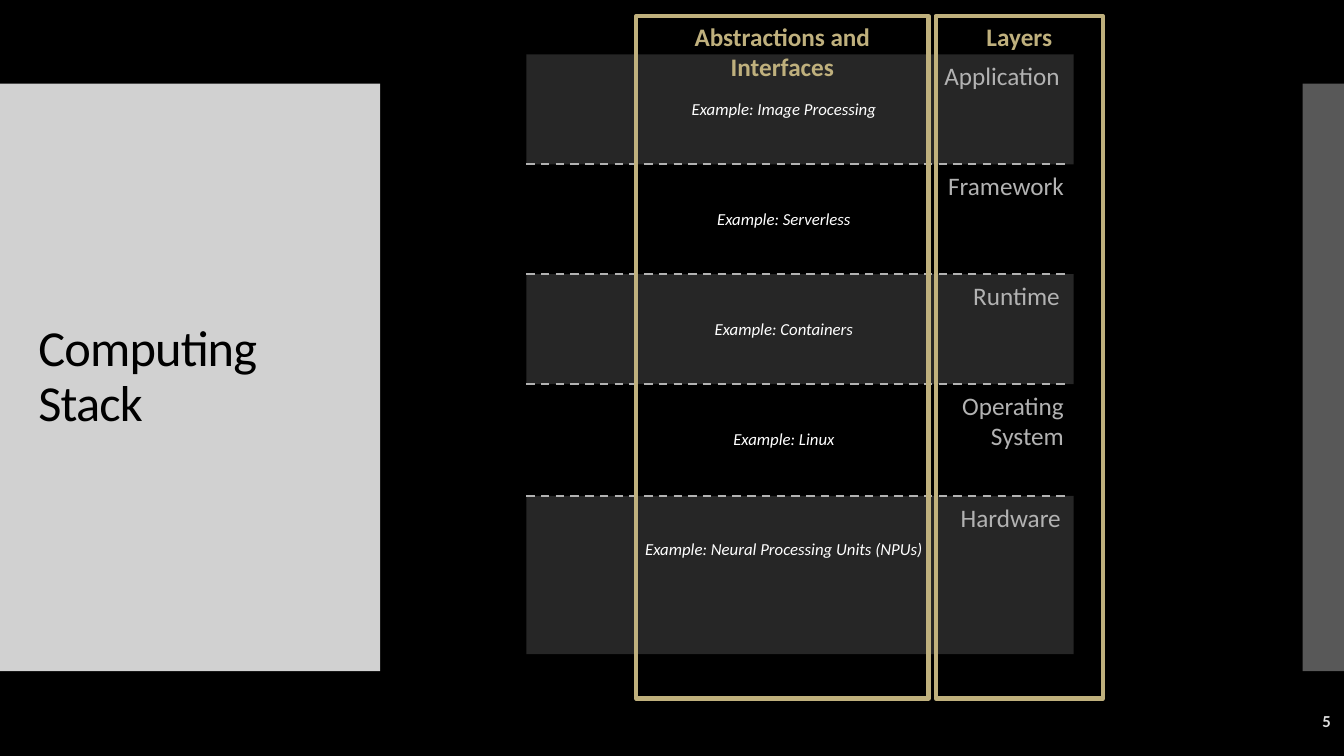
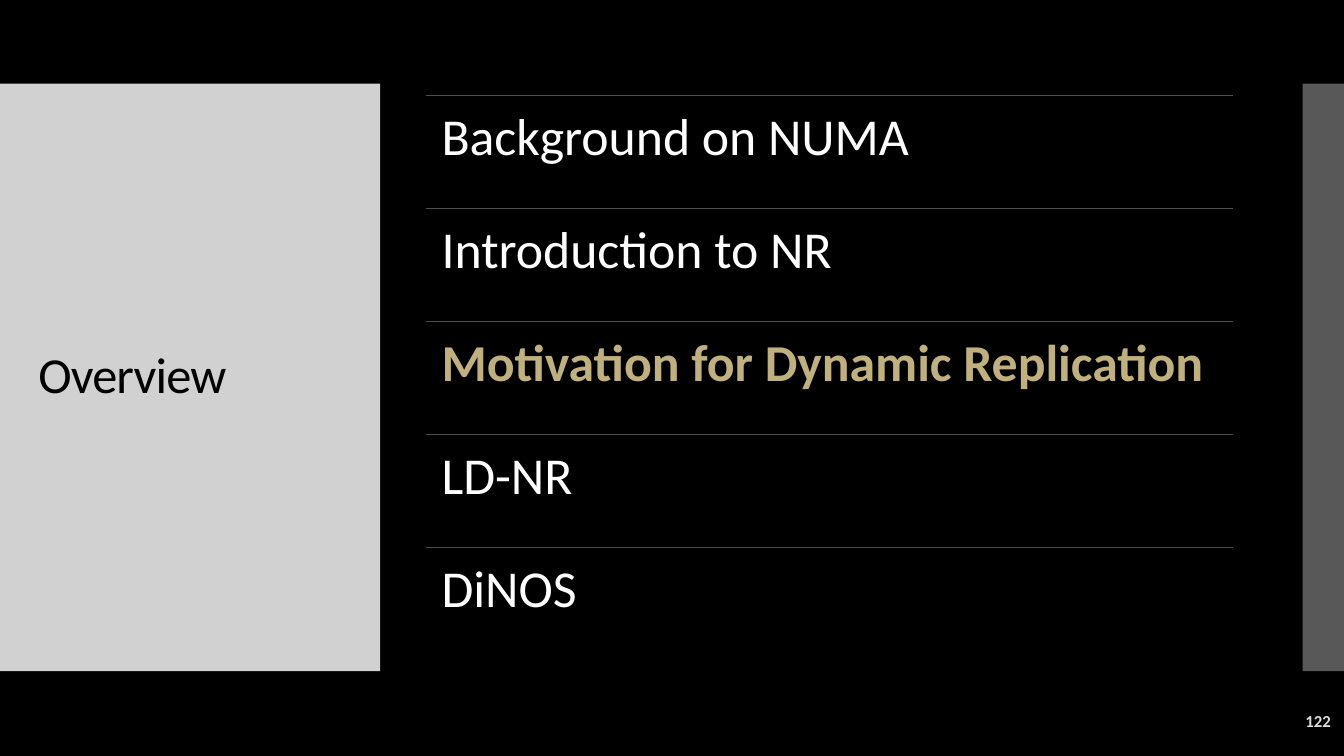
from lxml.etree import SubElement
from pptx import Presentation
from pptx.dml.color import RGBColor
from pptx.enum.dml import MSO_LINE
from pptx.enum.shapes import MSO_CONNECTOR, MSO_SHAPE
from pptx.enum.text import MSO_ANCHOR, MSO_AUTO_SIZE, PP_ALIGN
from pptx.oxml.ns import qn
from pptx.util import Inches, Pt

# Shared look
WIDTH, HEIGHT = 13.33, 7.5
FONT = "Calibri"
BLACK, WHITE, GOLD = "000000", "FFFFFF", "BFB07D"
PALE, SILVER, CHARCOAL, RULE_GRAY = "DDDDDD", "B2B2B2", "262626", "4D4D4D"
BANDS = [(0, 3.77, 95), (12.92, 0.42, 40)]  # left, width, opacity in percent
BAND_TOP, BAND_HEIGHT = 0.83, 5.83
TITLE_BOX = (0.28, 1.23, 3.22, 5.03)
NUMBER_BOX = (11.63, 6.95, 1.67, 0.4)

# Computing stack: layer name, right edge of the name, example
LAYERS = [
    ("Application", 10.61, "Image Processing"),
    ("Framework", 10.65, "Serverless"),
    ("Runtime", 10.61, "Containers"),
    ("Operating System", 10.65, "Linux"),
    ("Hardware", 10.62, "Neural Processing Units (NPUs)"),
]
LAYER_EDGES = [0.54, 1.63, 2.72, 3.81, 4.92, 6.49]
STACK_LEFT, STACK_WIDTH, DIVIDER_RIGHT = 5.22, 5.43, 10.61
LABEL_WIDTH = 1.45
EXAMPLE_TOP, EXAMPLE_STEP = 0.73, 1.09
COLUMNS = [("Layers", 9.28, 1.66), ("Abstractions and Interfaces", 6.31, 2.9)]

# Overview
TOPICS = ["Background on NUMA", "Introduction to NR",
          "Motivation for Dynamic Replication", "LD-NR", "DiNOS"]
CURRENT_TOPIC = 2
TOPIC_LEFT, TOPIC_TOP, TOPIC_WIDTH, TOPIC_STEP = 4.23, 0.95, 8, 1.12


def color(value):
    return RGBColor.from_string(value)


def write(shape, text, size=18, fill=WHITE, bold=False, italic=False,
          align=PP_ALIGN.LEFT, anchor=MSO_ANCHOR.TOP, inset=None,
          line_spacing=None, tracking=None):
    frame = shape.text_frame
    frame.word_wrap = True
    frame.auto_size = MSO_AUTO_SIZE.NONE
    frame.vertical_anchor = anchor
    across, down = (inset, inset) if inset else (0.1, 0.05)
    frame.margin_left = frame.margin_right = Inches(across)
    frame.margin_top = frame.margin_bottom = Inches(down)
    paragraph = frame.paragraphs[0]
    paragraph.alignment = align
    paragraph.line_spacing = line_spacing
    run = paragraph.add_run()
    run.text = text
    font = run.font
    font.name, font.size, font.bold, font.italic = FONT, Pt(size), bold, italic
    font.color.rgb = color(fill)
    if tracking:
        run._r.get_or_add_rPr().set("spc", str(round(tracking * 100)))


def add_text(slide, box, text, **style):
    write(slide.shapes.add_textbox(*map(Inches, box)), text, **style)


def add_box(slide, box, fill=None, opacity=100, outline=None):
    shape = slide.shapes.add_shape(MSO_SHAPE.RECTANGLE, *map(Inches, box))
    shape.shadow.inherit = False
    if fill:
        shape.fill.solid()
        shape.fill.fore_color.rgb = color(fill)
        if opacity < 100:
            fill_xml = shape._element.spPr.find(".//" + qn("a:srgbClr"))
            SubElement(fill_xml, qn("a:alpha"), val=str(opacity * 1000))
    else:
        shape.fill.background()
    if outline:
        shape.line.color.rgb = color(outline)
        shape.line.width = Pt(3)
    else:
        shape.line.fill.background()
    return shape


def add_rule(slide, left, right, y, stroke, width, dash=None):
    line = slide.shapes.add_connector(
        MSO_CONNECTOR.STRAIGHT, *map(Inches, (left, y, right, y)))
    line.line.color.rgb = color(stroke)
    line.line.width = Pt(width)
    if dash:
        line.line.dash_style = dash
    SubElement(line._element.spPr, qn("a:effectLst"))


def add_slide(presentation, title_text, number):
    slide = presentation.slides.add_slide(presentation.slide_layouts[5])
    title = slide.shapes.title
    for left, width, opacity in BANDS:
        band = add_box(slide, (left, BAND_TOP, width, BAND_HEIGHT), PALE, opacity)
        title._element.addprevious(band._element)
    title.left, title.top, title.width, title.height = map(Inches, TITLE_BOX)
    write(title, title_text, size=36, fill=BLACK, anchor=MSO_ANCHOR.MIDDLE,
          line_spacing=0.9, tracking=-0.6)
    add_text(slide, NUMBER_BOX, number, size=12, fill=PALE, bold=True,
             align=PP_ALIGN.RIGHT, anchor=MSO_ANCHOR.MIDDLE)
    return slide


def build_stack(presentation):
    slide = add_slide(presentation, "Computing Stack", "5")
    # Shaded layers, then the dividers between layers
    for top, bottom in list(zip(LAYER_EDGES, LAYER_EDGES[1:]))[::2]:
        add_box(slide, (STACK_LEFT, top, STACK_WIDTH, bottom - top), CHARCOAL)
    for y in LAYER_EDGES[1:-1]:
        add_rule(slide, STACK_LEFT, DIVIDER_RIGHT, y, SILVER, 1.5, MSO_LINE.DASH)
    # Layer names and examples
    for index, (name, right, example) in enumerate(LAYERS):
        add_text(slide, (right - LABEL_WIDTH, LAYER_EDGES[index] + 0.01,
                         LABEL_WIDTH, 0.7),
                 name, fill=SILVER, align=PP_ALIGN.RIGHT)
        add_text(slide, (5.37, EXAMPLE_TOP + index * EXAMPLE_STEP, 4.81, 0.7),
                 f"Example: {example}", size=12, italic=True,
                 align=PP_ALIGN.CENTER, anchor=MSO_ANCHOR.MIDDLE)
    # Column frames
    for heading, left, width in COLUMNS:
        frame = add_box(slide, (left, 0.16, width, 6.77), outline=GOLD)
        write(frame, heading, fill=GOLD, bold=True, align=PP_ALIGN.CENTER)


def build_overview(presentation):
    slide = add_slide(presentation, "Overview", "122")
    for index, topic in enumerate(TOPICS):
        top = TOPIC_TOP + index * TOPIC_STEP
        current = index == CURRENT_TOPIC
        add_rule(slide, TOPIC_LEFT, TOPIC_LEFT + TOPIC_WIDTH, top, RULE_GRAY, 0.85)
        add_text(slide, (TOPIC_LEFT, top, TOPIC_WIDTH, TOPIC_STEP), topic,
                 size=37, fill=GOLD if current else WHITE, bold=current,
                 inset=0.15, line_spacing=0.9)


def main():
    presentation = Presentation()
    presentation.slide_width = Inches(WIDTH)
    presentation.slide_height = Inches(HEIGHT)
    background = presentation.slide_master.background.fill
    background.solid()
    background.fore_color.rgb = color(BLACK)
    build_stack(presentation)
    build_overview(presentation)
    presentation.save("out.pptx")


if __name__ == "__main__":
    main()
